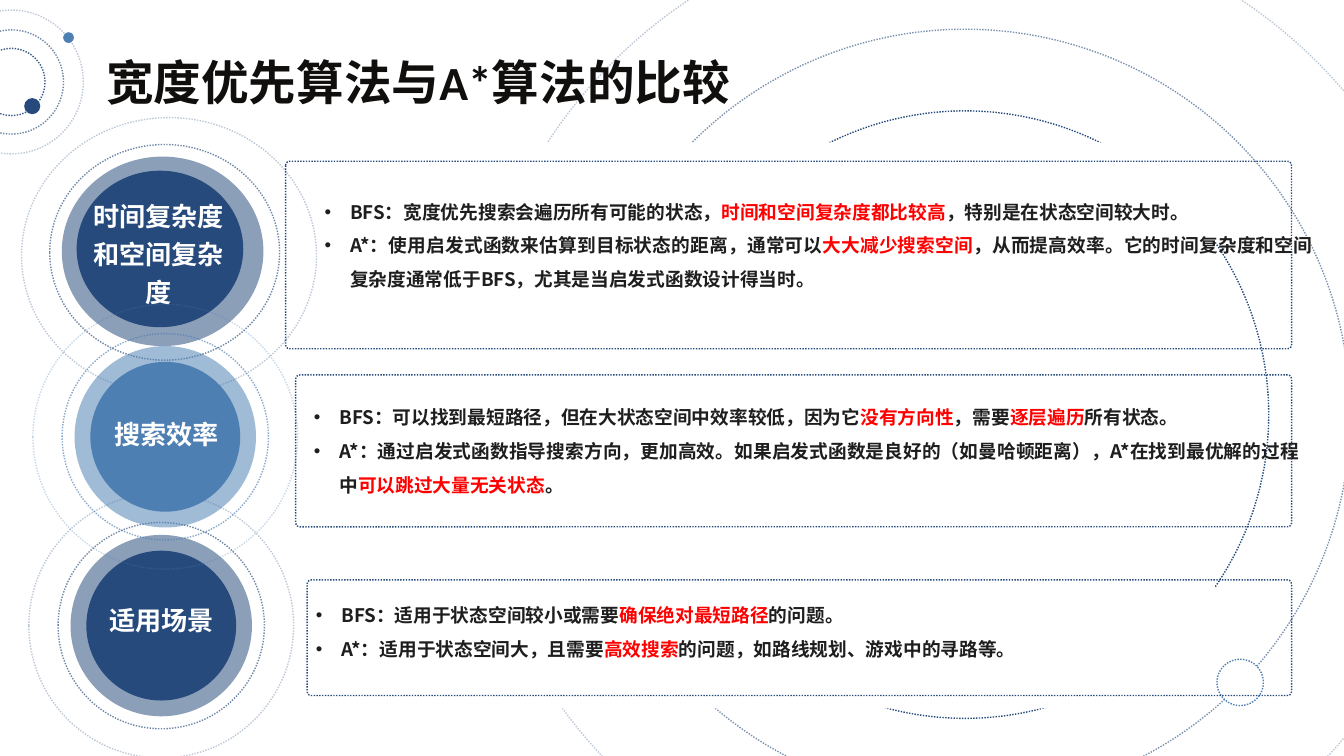
"""Build a slide comparing breadth-first search with the A* algorithm."""
import pptx
import pptx.dml.color
import pptx.enum.dml
import pptx.enum.shapes
import pptx.enum.text
import pptx.util
from lxml import etree
from pptx.dml.color import RGBColor
from pptx.oxml.ns import qn
from pptx.util import Inches

NAVY = RGBColor(0x26, 0x4A, 0x7B)
BLUE = RGBColor(0x4D, 0x7F, 0xB2)
WHITE = RGBColor(0xFF, 0xFF, 0xFF)
TITLE_BLACK = RGBColor(0x10, 0x0F, 0x0D)
BODY_BLACK = RGBColor(0x1E, 0x1E, 0x1E)
RED = RGBColor(0xFF, 0x00, 0x00)
CJK_FONT = "Noto Sans CJK SC"
SHAPES = pptx.enum.shapes.MSO_SHAPE
ALIGN = pptx.enum.text.PP_ALIGN

presentation = pptx.Presentation()
presentation.slide_width = Inches(20)
presentation.slide_height = Inches(11.25)
slide = presentation.slides.add_slide(presentation.slide_layouts[6])


def add_figure(kind, position, fill=None, line=None, opacity=100):
    figure = slide.shapes.add_shape(kind, *map(Inches, position))
    figure.shadow.inherit = False
    if fill is None:
        figure.fill.background()
    else:
        figure.fill.solid()
        figure.fill.fore_color.rgb = fill
    if line is None:
        figure.line.fill.background()
    else:
        figure.line.color.rgb = line
        figure.line.width = pptx.util.Pt(1.5)
        figure.line.dash_style = pptx.enum.dml.MSO_LINE.ROUND_DOT
    if opacity < 100:
        for color in figure.element.spPr.iter(qn("a:srgbClr")):
            etree.SubElement(color, qn("a:alpha"), val=str(opacity * 1000))
    return figure


def add_text(position, paragraphs, size, colors, spacing, align, latin=CJK_FONT, bullet=False):
    frame = slide.shapes.add_textbox(*map(Inches, position)).text_frame
    frame.word_wrap = True
    frame.margin_left = frame.margin_right = frame.margin_top = frame.margin_bottom = 0
    for number, segments in enumerate(paragraphs):
        paragraph = frame.add_paragraph() if number else frame.paragraphs[0]
        if bullet:
            properties = paragraph._p.get_or_add_pPr()
            properties.set("marL", str(Inches(0.38)))
            properties.set("indent", str(Inches(-0.38)))
            etree.SubElement(properties, qn("a:buFont"), typeface="Arial")
            etree.SubElement(properties, qn("a:buChar"), char="•")
        paragraph.alignment = align
        paragraph.line_spacing = spacing
        for index, segment in enumerate(segments):
            run = paragraph.add_run()
            run.text = segment
            run.font.size = pptx.util.Pt(size)
            run.font.bold = True
            run.font.color.rgb = colors[index % len(colors)]
            run.font.name = latin
            etree.SubElement(run.font._element, qn("a:ea"), typeface=CJK_FONT)


for diameter, opacity in [(14.83, 30), (11.47, 60), (9.04, 100)]:
    orbit = (14.36 - diameter / 2, 6.17 - diameter / 2, diameter, diameter)
    add_figure(SHAPES.OVAL, orbit, line=NAVY, opacity=opacity)
add_figure(SHAPES.OVAL, (18.11, 9.81, 0.69, 0.69), WHITE, BLUE)
add_figure(SHAPES.RECTANGLE, (2.08, 2.12, 16, 8.42), WHITE)

add_text((1.58, 0.79, 9.67, 0.86), [["宽度优先算法与A*算法的比较"]], 51, [TITLE_BLACK],
         pptx.util.Pt(61.2), ALIGN.LEFT, "Calibri")

for diameter, opacity in [(2.14, 30), (1.55, 65), (1, 90)]:
    ring = (0.17 - diameter / 2, 1.22 - diameter / 2, diameter, diameter)
    add_figure(SHAPES.OVAL, ring, line=NAVY, opacity=opacity)
add_figure(SHAPES.OVAL, (0.36, 1.46, 0.24, 0.24), NAVY)
add_figure(SHAPES.OVAL, (0.94, 0.48, 0.16, 0.16), BLUE)

complexity_rings = [(0.32, 1.75, 4.39, 4.11), (0.74, 2.15, 3.42, 3.21),
                    (0.92, 2.33, 3, 2.82), (1.14, 2.54, 2.48, 2.33)]
scenario_rings, efficiency_rings = [
    [(x - d / 2, y - d / 2, d, d) for d in (3.94, 3.07, 2.7, 2.23)]
    for x, y in [(2.4, 9.31), (2.46, 6.5)]
]
badges = [
    ("时间复杂度和空间复杂度", NAVY, complexity_rings, (1.33, 2.89, 2.05, 1.78)),
    ("适用场景", NAVY, scenario_rings, (1.48, 8.89, 1.84, 0.57)),
    ("搜索效率", BLUE, efficiency_rings, (1.56, 6.13, 1.84, 0.57)),
]
for label, color, (outer, inner, halo, disc), label_position in badges:
    add_figure(SHAPES.OVAL, outer, line=color, opacity=30)
    add_figure(SHAPES.OVAL, inner, line=color, opacity=65)
    add_figure(SHAPES.OVAL, halo, color, opacity=53)
    add_figure(SHAPES.OVAL, disc, color)
    add_text(label_position, [[label]], 28, [WHITE], pptx.util.Pt(40.6), ALIGN.CENTER)

comparisons = [
    ((4.25, 2.4, 14.97, 2.79), (4.83, 2.82, 14.7, 1.85), [
        ["BFS：宽度优先搜索会遍历所有可能的状态，", "时间和空间复杂度都比较高",
         "，特别是在状态空间较大时。"],
        ["A*：使用启发式函数来估算到目标状态的距离，通常可以", "大大减少搜索空间",
         "，从而提高效率。它的时间复杂度和空间复杂度通常低于BFS，尤其是当启发式函数设计得当时。"],
    ]),
    ((4.4, 5.58, 14.82, 2.26), (4.67, 5.88, 14.66, 2.36), [
        ["BFS：可以找到最短路径，但在大状态空间中效率较低，因为它", "没有方向性",
         "，需要", "逐层遍历", "所有状态。"],
        ["A*：通过启发式函数指导搜索方向，更加高效。如果启发式函数是良好的（如曼哈顿距离），A*在找到最优解的过程中",
         "可以跳过大量无关状态", "。"],
    ]),
    ((4.57, 8.63, 14.65, 1.72), (4.7, 8.82, 14.44, 1.52), [
        ["BFS：适用于状态空间较小或需要", "确保绝对最短路径", "的问题。"],
        ["A*：适用于状态空间大，且需要", "高效搜索", "的问题，如路线规划、游戏中的寻路等。"],
    ]),
]
for frame_position, text_position, points in comparisons:
    panel = add_figure(SHAPES.ROUNDED_RECTANGLE, frame_position, line=NAVY)
    panel.adjustments[0] = 0.06 / frame_position[3]
    add_text(text_position, points, 20, [BODY_BLACK, RED], 1.5, ALIGN.JUSTIFY, bullet=True)

presentation.save("out.pptx")
